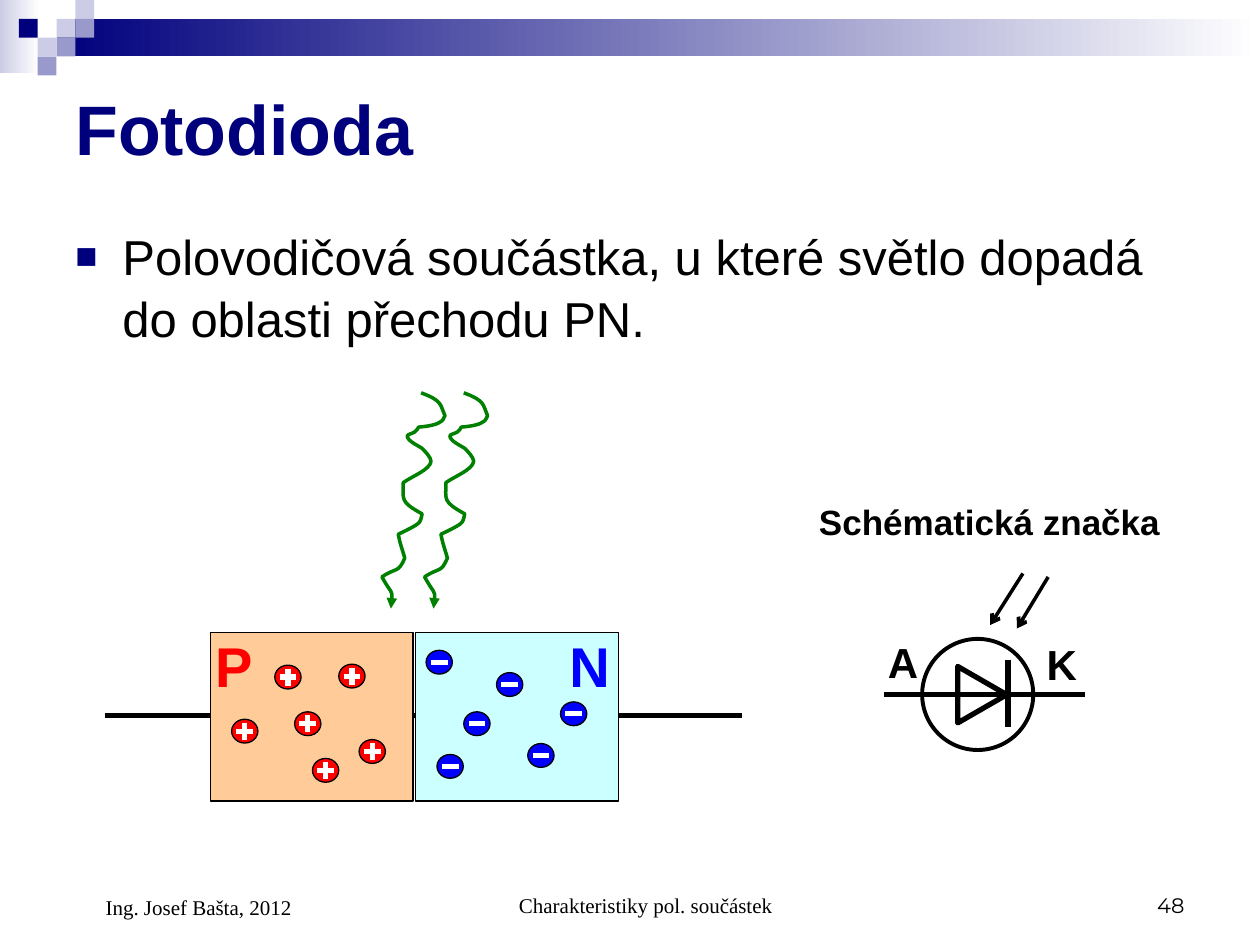
"""Build the photodiode slide: PN junction under light and its circuit symbol."""
from dataclasses import dataclass

from lxml import etree
from pptx import Presentation
from pptx import util as u
from pptx.dml import color
from pptx.enum import shapes, text
from pptx.oxml import ns

NAVY, LAVENDER, VIOLET = "00007D", "CCCCE6", "9999CC"
BLACK, WHITE, RED, BLUE, GREEN = "000000", "FFFFFF", "FF0000", "0000FF", "008000"
LEFT, CENTER, RIGHT = text.PP_ALIGN.LEFT, text.PP_ALIGN.CENTER, text.PP_ALIGN.RIGHT
TOP, MIDDLE, BOTTOM = text.MSO_ANCHOR.TOP, text.MSO_ANCHOR.MIDDLE, text.MSO_ANCHOR.BOTTOM
RECTANGLE, OVAL = shapes.MSO_SHAPE.RECTANGLE, shapes.MSO_SHAPE.OVAL
TRIANGLE = shapes.MSO_SHAPE.ISOSCELES_TRIANGLE

TILE = 0.38
TILES = [(3, 1, LAVENDER), (4, 0, LAVENDER), (4, 1, VIOLET), (2, 2, LAVENDER),
         (1, 1, NAVY), (3, 2, VIOLET), (2, 3, VIOLET)]
HOLES = [(5.54, 13.41), (4.67, 14.5), (6.83, 13.39), (5.94, 14.35), (7.24, 14.91), (6.3, 15.29)]
ELECTRONS = [(8.59, 13.11), (10.01, 13.56), (9.35, 14.35), (8.81, 15.21), (10.64, 14.99),
             (11.3, 14.15)]
WAVE_START = (9.35, 7.92)
WAVE_CURVES = [
    (9.78, 8.08), (9.73, 8.15), (9.83, 8.38), (9.8, 8.43), (9.8, 8.48), (9.73, 8.51),
    (9.63, 8.59), (9.3, 8.61), (9.3, 8.61), (9.27, 8.64), (9.27, 8.69), (9.22, 8.71),
    (9.17, 8.74), (9.07, 8.76), (9.07, 8.79), (9.07, 8.89), (9.3, 8.99), (9.37, 9.04),
    (9.42, 9.09), (9.55, 9.22), (9.55, 9.3), (9.53, 9.47), (9.17, 9.6), (8.99, 9.73),
    (8.99, 10.08), (8.92, 10.11), (9.37, 10.36), (9.35, 10.44), (9.35, 10.52), (9.27, 10.57),
    (9.17, 10.64), (8.89, 10.77), (8.89, 10.77), (8.92, 10.95), (8.97, 11.07), (9.02, 11.25),
    (8.89, 11.56), (8.86, 11.43), (8.56, 11.63), (8.76, 11.99), (8.79, 11.86), (8.74, 12.27),
]


@dataclass
class Label:
    words: str
    left: float
    top: float
    width: float
    height: float
    size: float
    hue: str = BLACK
    bold: bool = False
    font: str = "Arial"
    align: text.PP_ALIGN = LEFT
    anchor: text.MSO_ANCHOR = TOP
    indent: float = 0
    bullet: str = ""


LABELS = [
    Label("Fotodioda", 1.27, 1.27, 22.86, 2.62, 40, NAVY, True, anchor=MIDDLE),
    Label("Polovodičová součástka, u které světlo dopadá do oblasti přechodu PN.",
          1.27, 4.39, 22.81, 3.2, 28, indent=0.95, bullet="■"),
    Label("P", 4.09, 12.6, 1.27, 1.63, 32, RED, True),
    Label("N", 11.23, 12.6, 1.27, 1.63, 32, BLUE, True),
    Label("Schématická značka", 16.26, 9.96, 7.6, 1.12, 20, bold=True),
    Label("A", 17.65, 12.7, 1.24, 1.27, 24, bold=True),
    Label("K", 20.85, 12.75, 1.24, 1.27, 24, bold=True),
    Label("Charakteristiky pol. součástek", 8.69, 17.35, 8.05, 1.27, 12,
          font="Times New Roman", align=CENTER, anchor=BOTTOM, indent=0.61),
    Label("48", 18.21, 17.35, 5.92, 1.27, 12, font="Montserrat", align=RIGHT, anchor=BOTTOM),
    Label("Ing. Josef Bašta, 2012", 1.27, 17.35, 5.92, 1.32, 12,
          font="Times New Roman", anchor=BOTTOM, indent=0.61),
]


def rgb(value: str) -> color.RGBColor:
    return color.RGBColor.from_string(value)


def set_line(shape, hue: str, weight: float, head: str = "") -> None:
    shape.line.color.rgb = rgb(hue)
    shape.line.width = u.Pt(weight)
    if head:
        etree.SubElement(shape.line._get_or_add_ln(), ns.qn("a:tailEnd"), type=head)


def add_figure(page, kind, left: float, top: float, width: float, height: float,
               fill: str = "", line: str = "", weight: float = 0.75):
    figure = page.shapes.add_shape(kind, u.Cm(left), u.Cm(top), u.Cm(width), u.Cm(height))
    figure.shadow.inherit = False
    if fill:
        figure.fill.solid()
        figure.fill.fore_color.rgb = rgb(fill)
    else:
        figure.fill.background()
    if line:
        set_line(figure, line, weight)
    else:
        figure.line.fill.background()
    return figure


def add_fade(page, left: float, top: float, width: float, height: float, hue: str) -> None:
    band = add_figure(page, RECTANGLE, left, top, width, height)
    band.fill.gradient()
    band.fill.gradient_angle = 180
    for stop, value in zip(band.fill.gradient_stops, (WHITE, hue)):
        stop.color.rgb = rgb(value)


def add_line(page, x1: float, y1: float, x2: float, y2: float,
             hue: str = BLACK, weight: float = 3, head: str = "") -> None:
    line = page.shapes.add_connector(shapes.MSO_CONNECTOR.STRAIGHT,
                                     u.Cm(x1), u.Cm(y1), u.Cm(x2), u.Cm(y2))
    set_line(line, hue, weight, head)
    etree.SubElement(line._element.spPr, ns.qn("a:effectLst"))


def add_carrier(page, left: float, top: float, hue: str, positive: bool) -> None:
    width, height, arm = 0.53, 0.48, 0.17
    add_figure(page, OVAL, left, top, width, height, hue, BLACK)
    x, y = left + width / 2, top + height / 2
    add_line(page, x - arm, y, x + arm, y, WHITE)
    if positive:
        add_line(page, x, y - arm, x, y + arm, WHITE)


def add_wave(page, shift: float) -> None:
    def place(point):
        return u.Cm(point[0] + shift), u.Cm(point[1])

    builder = page.shapes.build_freeform(*place(WAVE_START))
    builder.add_line_segments([place(point) for point in WAVE_CURVES], close=False)
    wave = builder.convert_to_shape()
    wave.shadow.inherit = False
    wave.fill.background()
    set_line(wave, GREEN, 2, "triangle")
    outline = wave._element.find(".//" + ns.qn("a:path"))
    segments = outline.findall(ns.qn("a:lnTo"))
    for first in range(0, len(segments), 3):
        curve = etree.SubElement(outline, ns.qn("a:cubicBezTo"))
        for segment in segments[first:first + 3]:
            curve.append(segment[0])
            outline.remove(segment)


def add_bullet(para, mark: str, hue: str) -> None:
    props = para._p.get_or_add_pPr()
    tint = etree.SubElement(props, ns.qn("a:buClr"))
    etree.SubElement(tint, ns.qn("a:srgbClr"), val=hue)
    etree.SubElement(props, ns.qn("a:buSzPct"), val="75000")
    etree.SubElement(props, ns.qn("a:buFont"), typeface="Arial")
    etree.SubElement(props, ns.qn("a:buChar"), char=mark)


def add_label(page, label: Label) -> None:
    box = page.shapes.add_textbox(u.Cm(label.left), u.Cm(label.top),
                                  u.Cm(label.width), u.Cm(label.height))
    frame = box.text_frame
    frame.word_wrap = True
    frame.vertical_anchor = label.anchor
    para = frame.paragraphs[0]
    para.alignment = label.align
    if label.indent:
        props = para._p.get_or_add_pPr()
        props.set("marL", str(u.Cm(label.indent)))
        props.set("indent", str(-u.Cm(label.indent) if label.bullet else 0))
    if label.bullet:
        add_bullet(para, label.bullet, NAVY)
        para.line_spacing = 1.05
    span = para.add_run()
    span.text = label.words
    span.font.name = label.font
    span.font.size = u.Pt(label.size)
    span.font.bold = label.bold
    span.font.color.rgb = rgb(label.hue)


def main() -> None:
    deck = Presentation()
    deck.slide_width, deck.slide_height = u.Cm(25.4), u.Cm(19.05)
    page = deck.slides.add_slide(deck.slide_layouts[6])

    add_fade(page, 0, 0, 0.79, 1.47, LAVENDER)
    add_fade(page, 1.14, 0.38, 24.26, 0.76, NAVY)
    for column, row, hue in TILES:
        add_figure(page, RECTANGLE, column * TILE, row * TILE, TILE, TILE, hue)

    add_line(page, 2.11, 14.43, 14.96, 14.43)
    for left, hue in ((4.24, "FFCC99"), (8.38, "CCFFFF")):
        add_figure(page, RECTANGLE, left, 12.75, 4.09, 3.4, hue, BLACK)
    for left, top in HOLES:
        add_carrier(page, left, top, RED, True)
    for left, top in ELECTRONS:
        add_carrier(page, left, top, BLUE, False)
    for shift in (0, -0.86):
        add_wave(page, shift)

    add_line(page, 17.83, 14, 21.87, 14)
    add_figure(page, TRIANGLE, 19.23, 13.51, 1.14, 0.99, line=BLACK, weight=3).rotation = 90
    add_line(page, 20.32, 13.31, 20.32, 14.66)
    add_line(page, 20.62, 11.56, 19.96, 12.6, weight=2, head="arrow")
    add_line(page, 21.13, 11.63, 20.5, 12.67, weight=2, head="arrow")
    add_figure(page, OVAL, 18.59, 12.88, 2.24, 2.24, line=BLACK, weight=2.25)

    for label in LABELS:
        add_label(page, label)
    deck.save("out.pptx")


if __name__ == "__main__":
    main()
